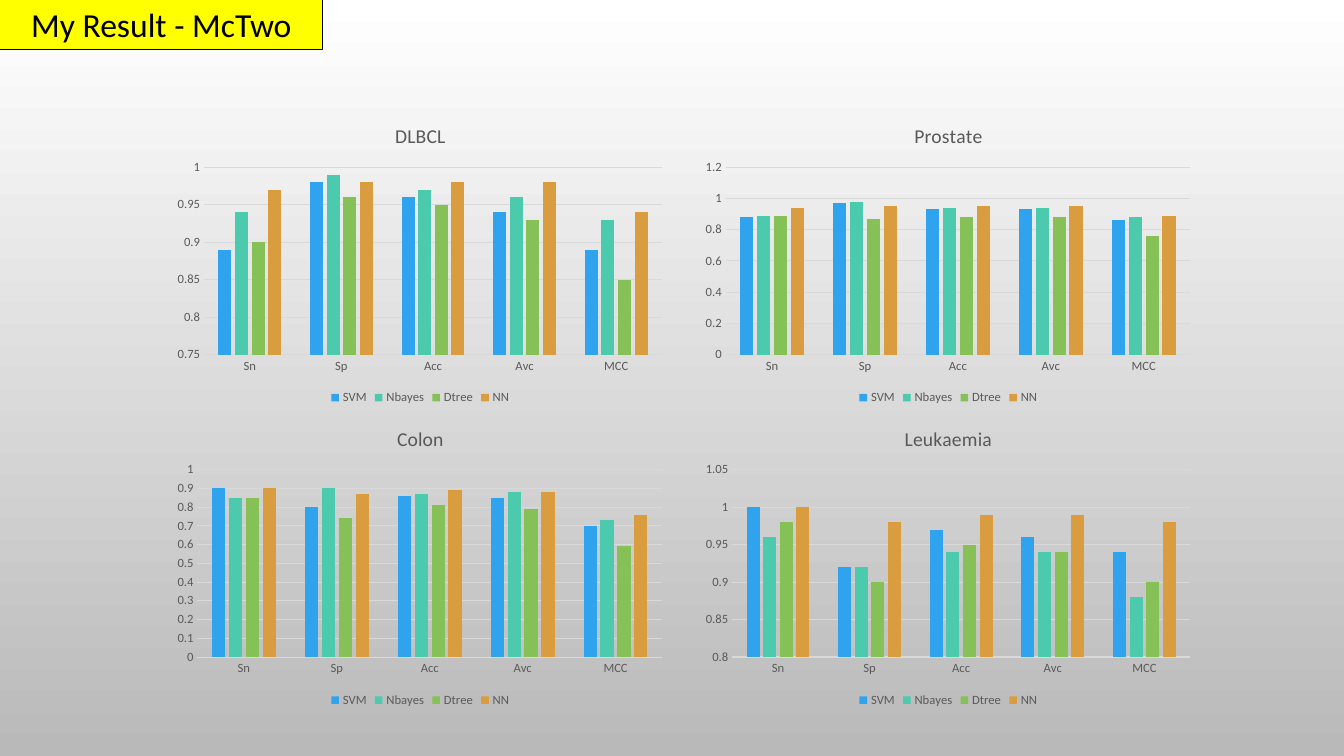
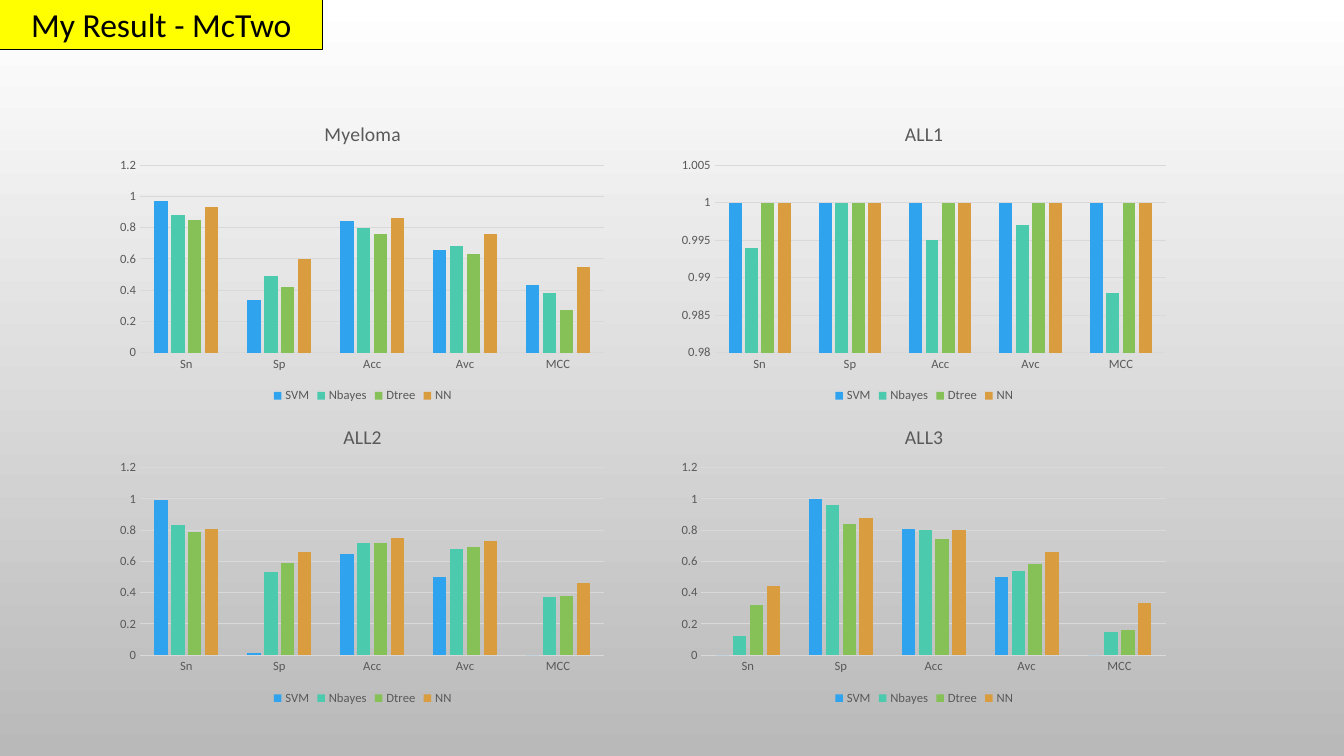
from dataclasses import dataclass
from typing import NamedTuple

from lxml import etree
from pptx import Presentation
from pptx.chart import data as chart_data
from pptx.dml.color import RGBColor
from pptx.enum import chart as charts, shapes, text
from pptx.oxml import ns
from pptx.util import Cm, Pt


@dataclass(frozen=True)
class Theme:
    font: str = "Calibri"
    ink: str = "000000"
    label: str = "595959"
    rule: str = "D9D9D9"
    tag: str = "FFFF00"
    background: tuple = ("FFFFFF", "B9B9B9")
    series: tuple = ("2FA3EE", "4BCAAD", "86C157", "D99C3F")
    tag_size: int = 24
    title_size: int = 14
    base_size: int = 10
    label_size: int = 9
    line_width: float = 0.75


class Box(NamedTuple):
    """Left, top, width and height in centimetres."""
    left: float
    top: float
    width: float
    height: float

    def lengths(self):
        return [Cm(value) for value in self]


class Result(NamedTuple):
    title: str
    title_width: float  # centimetres
    scale: tuple  # minimum, maximum, step
    decimals: int  # on the value axis
    scores: tuple  # one row for each classifier


THEME = Theme()
HEADING = "My Result - McTwo"
MEASURES = ("Sn", "Sp", "Acc", "Avc", "MCC")
CLASSIFIERS = ("SVM", "Nbayes", "Dtree", "NN")
CHART_WIDTH, CHART_HEIGHT = 12.7, 7.62

SOLID_TUMOURS = (
    Result("DLBCL", 1.26, (0.75, 1, 0.05), 2, (
        (0.89, 0.98, 0.96, 0.94, 0.89),
        (0.94, 0.99, 0.97, 0.96, 0.93),
        (0.9, 0.96, 0.95, 0.93, 0.85),
        (0.97, 0.98, 0.98, 0.98, 0.94))),
    Result("Prostate", 1.72, (0, 1.2, 0.2), 1, (
        (0.88, 0.97, 0.93, 0.93, 0.86),
        (0.89, 0.98, 0.94, 0.94, 0.88),
        (0.89, 0.87, 0.88, 0.88, 0.76),
        (0.94, 0.95, 0.95, 0.95, 0.89))),
    Result("Colon", 1.17, (0, 1, 0.1), 1, (
        (0.9, 0.8, 0.86, 0.85, 0.7),
        (0.85, 0.9, 0.87, 0.88, 0.73),
        (0.85, 0.74, 0.81, 0.79, 0.59),
        (0.9, 0.87, 0.89, 0.88, 0.76))),
    Result("Leukaemia", 2.2, (0.8, 1.05, 0.05), 2, (
        (1, 0.92, 0.97, 0.96, 0.94),
        (0.96, 0.92, 0.94, 0.94, 0.88),
        (0.98, 0.9, 0.95, 0.94, 0.9),
        (1, 0.98, 0.99, 0.99, 0.98))),
)
BLOOD_CANCERS = (
    Result("Myeloma", 1.93, (0, 1.2, 0.2), 1, (
        (0.97, 0.34, 0.84, 0.66, 0.43),
        (0.88, 0.49, 0.8, 0.68, 0.38),
        (0.85, 0.42, 0.76, 0.63, 0.27),
        (0.93, 0.6, 0.86, 0.76, 0.55))),
    Result("ALL1", 0.97, (0.98, 1.005, 0.005), 3, (
        (1, 1, 1, 1, 1),
        (0.994, 1, 0.995, 0.997, 0.988),
        (1, 1, 1, 1, 1),
        (1, 1, 1, 1, 1))),
    Result("ALL2", 0.97, (0, 1.2, 0.2), 1, (
        (0.99, 0.01, 0.65, 0.5, 0),
        (0.83, 0.53, 0.72, 0.68, 0.37),
        (0.79, 0.59, 0.72, 0.69, 0.38),
        (0.81, 0.66, 0.75, 0.73, 0.46))),
    Result("ALL3", 0.97, (0, 1.2, 0.2), 1, (
        (0, 1, 0.81, 0.5, 0),
        (0.12, 0.96, 0.8, 0.54, 0.15),
        (0.32, 0.84, 0.74, 0.58, 0.16),
        (0.44, 0.88, 0.8, 0.66, 0.33))),
)


def colour(code):
    return RGBColor.from_string(code)


def style_font(font, size, code):
    font.name = THEME.font
    font.size = Pt(size)
    font.bold = False
    font.color.rgb = colour(code)


def style_line(line, code):
    line.color.rgb = colour(code)
    line.width = Pt(THEME.line_width)


def set_layout(parent, index, **settings):
    """Give a chart part a manual layout in fractions of the chart."""
    for old in parent.findall(ns.qn("c:layout")):
        parent.remove(old)
    layout = etree.Element(ns.qn("c:layout"))
    manual = etree.SubElement(layout, ns.qn("c:manualLayout"))
    for name, value in settings.items():
        etree.SubElement(manual, ns.qn(f"c:{name}")).set("val", str(value))
    parent.insert(index, layout)


def paint_background(page):
    fill = page.background.fill
    fill.gradient()
    fill.gradient_angle = 270
    for stop, position, code in zip(fill.gradient_stops, (0, 1), THEME.background):
        stop.position = position
        stop.color.rgb = colour(code)


def add_heading(page, box):
    tag = page.shapes.add_shape(shapes.MSO_SHAPE.RECTANGLE, *box.lengths())
    tag.shadow.inherit = False
    tag.fill.solid()
    tag.fill.fore_color.rgb = colour(THEME.tag)
    style_line(tag.line, THEME.ink)
    frame = tag.text_frame
    frame.word_wrap = True
    frame.auto_size = text.MSO_AUTO_SIZE.SHAPE_TO_FIT_TEXT
    frame.vertical_anchor = text.MSO_ANCHOR.MIDDLE
    para = frame.paragraphs[0]
    para.alignment = text.PP_ALIGN.CENTER
    span = para.add_run()
    span.text = HEADING
    style_font(span.font, THEME.tag_size, THEME.ink)


def style_axes(chart, scale):
    for axis in (chart.category_axis, chart.value_axis):
        axis.major_tick_mark = axis.minor_tick_mark = charts.XL_TICK_MARK.NONE
        style_font(axis.tick_labels.font, THEME.label_size, THEME.label)
    style_line(chart.category_axis.format.line, THEME.rule)
    values = chart.value_axis
    values.minimum_scale, values.maximum_scale, values.major_unit = scale
    values.tick_labels.number_format = "General"
    values.tick_labels.number_format_is_linked = False
    values.format.line.fill.background()
    values.has_major_gridlines = True
    style_line(values.major_gridlines.format.line, THEME.rule)


def add_chart_title(chart, result, box):
    chart.has_title = True
    title = chart.chart_title
    title.include_in_layout = False
    span = title.text_frame.paragraphs[0].add_run()
    span.text = result.title
    style_font(span.font, THEME.title_size, THEME.label)
    padding = 0.18
    left = (box.width - result.title_width - padding) / 2
    set_layout(chart.chart_title._element, 1, xMode="edge", yMode="edge",
               x=round(left / box.width, 4), y=0.04)


def add_result_chart(page, result, box):
    table = chart_data.CategoryChartData(number_format="General")
    table.categories = MEASURES
    for name, scores in zip(CLASSIFIERS, result.scores):
        table.add_series(name, scores)
    chart = page.shapes.add_chart(
        charts.XL_CHART_TYPE.COLUMN_CLUSTERED, *box.lengths(), table).chart
    style_font(chart.font, THEME.base_size, THEME.ink)
    add_chart_title(chart, result, box)
    style_axes(chart, result.scale)

    chart.has_legend = True
    chart.legend.position = charts.XL_LEGEND_POSITION.BOTTOM
    chart.legend.include_in_layout = False
    style_font(chart.legend.font, THEME.label_size, THEME.label)

    plot = chart.plots[0]
    plot.gap_width, plot.overlap = 219, -27
    plot.vary_by_categories = False
    for series, code in zip(plot.series, THEME.series):
        series.invert_if_negative = False
        series.format.fill.solid()
        series.format.fill.fore_color.rgb = colour(code)

    left = 0.045 + 0.013 * result.decimals
    plot_area = chart._chartSpace.find(f".//{ns.qn('c:plotArea')}")
    set_layout(plot_area, 0, layoutTarget="inner", xMode="edge", yMode="edge",
               x=round(left, 3), y=0.2, w=round(0.98 - left, 3), h=0.62)


def add_result_page(deck, results, left, top, column_step):
    """Add a page with a two-by-two grid of charts."""
    page = deck.slides.add_slide(deck.slide_layouts[6])
    paint_background(page)
    add_heading(page, Box(0, -0.03, 8.13, 1.27))
    for index, result in enumerate(results):
        row, column = divmod(index, 2)
        add_result_chart(page, result, Box(
            left + column * column_step, top + row * CHART_HEIGHT,
            CHART_WIDTH, CHART_HEIGHT))


def main():
    deck = Presentation()
    deck.slide_width, deck.slide_height = Cm(33.87), Cm(19.05)
    add_result_page(deck, SOLID_TUMOURS, 4.24, 2.69, 13.31)
    add_result_page(deck, BLOOD_CANCERS, 2.79, 2.64, 14.15)
    deck.save("out.pptx")


if __name__ == "__main__":
    main()
